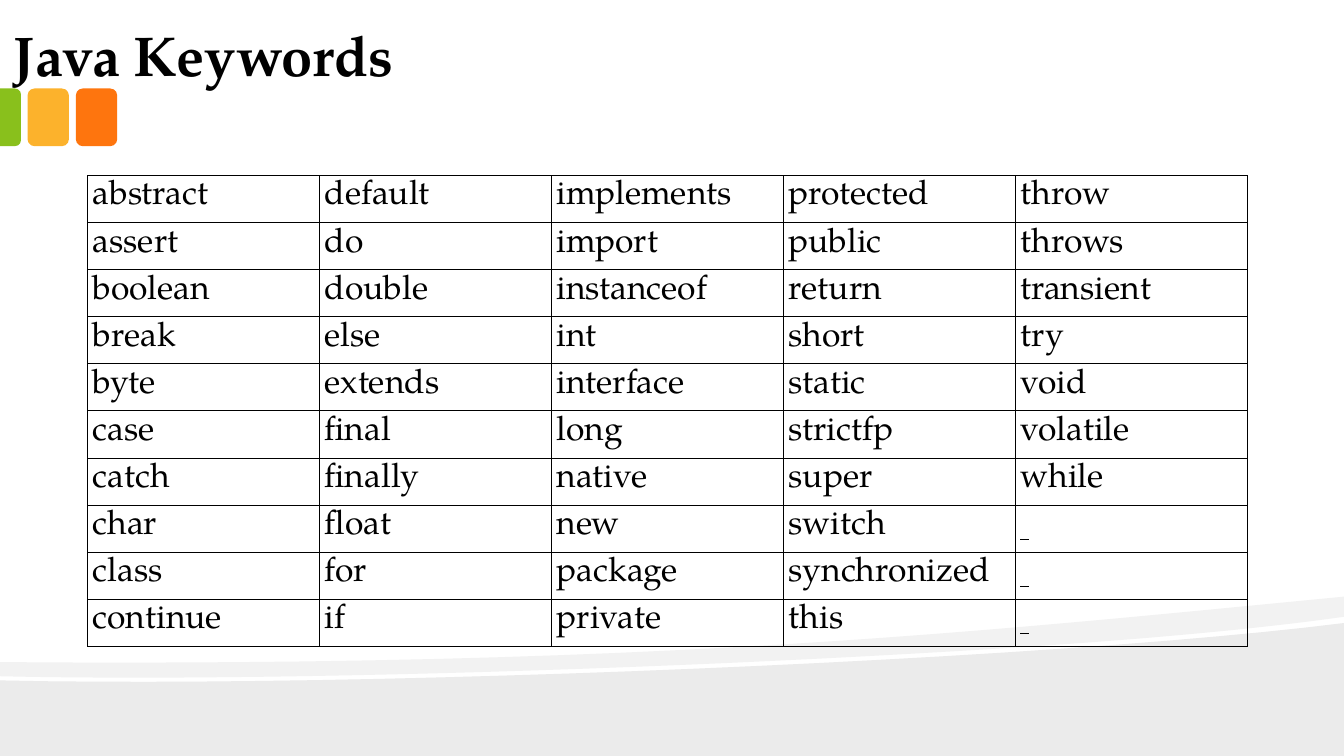
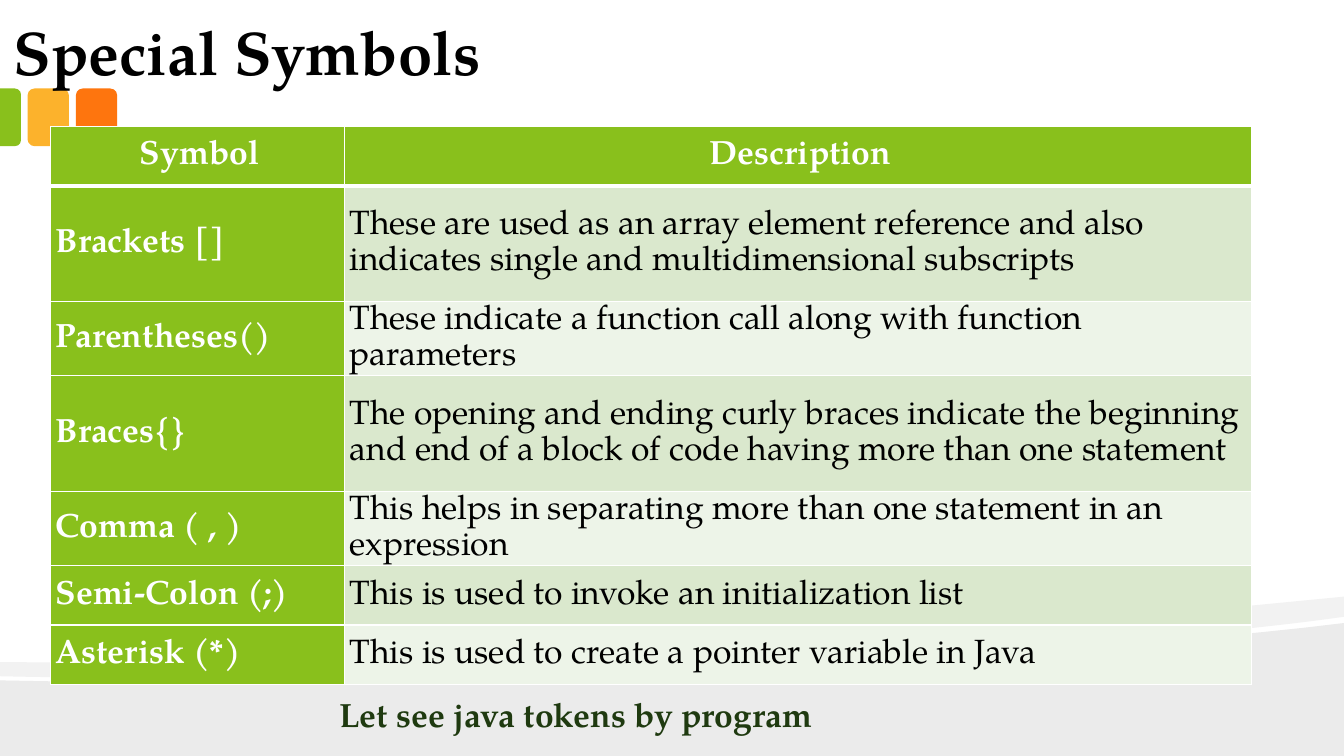
from pptx import Presentation
from pptx.dml.color import RGBColor
from pptx.enum.shapes import MSO_SHAPE
from pptx.enum.text import MSO_ANCHOR, MSO_AUTO_SIZE, PP_ALIGN
from pptx.oxml import parse_xml
from pptx.oxml.ns import nsdecls
from pptx.util import Pt

ROUND, TAB = MSO_SHAPE.ROUNDED_RECTANGLE, MSO_SHAPE.ROUND_2_SAME_RECTANGLE
TOP, MIDDLE, BOTTOM = MSO_ANCHOR.TOP, MSO_ANCHOR.MIDDLE, MSO_ANCHOR.BOTTOM
LEFT, CENTER = PP_ALIGN.LEFT, PP_ALIGN.CENTER
NO_FIT = MSO_AUTO_SIZE.NONE

FONT = "TeX Gyre Pagella"
HEX = {
    "black": "000000", "white": "FFFFFF", "green": "89C01C",
    "yellow": "FCB22C", "orange": "FE750E", "ground": "EBEBEB",
    "ribbon": "F2F2F2", "dark": "DAE8CD", "pale": "EDF4E8",
    "forest": "1F3A10",
}
WIDE, HIGH = 960, 540

# Two numbers are a line end, six are a cubic curve
WAVES = {
    "ground": [(960, 445), (960, 540), (0, 540), (0, 486),
               (253.4, 491.8, 750.2, 471.6, 960, 445)],
    "ribbon": [(960, 426.2), (960, 440.6),
               (903.6, 448.6, 827.3, 455.8, 740.9, 461.5),
               (502.6, 477.4, 185.8, 487.4, 0, 483.1), (0, 473),
               (469.4, 476.6, 699.1, 451.4, 960, 426.2)],
}
CHIP = {"left": 19.7, "top": 63.2, "wide": 29.5, "high": 41.2, "step": 34.5}
CHIPS = ["yellow", "orange"]
EDGE = 15

# A lone space is an unused slot, shown underlined
WORDS = [
    ["abstract", "default", "implements", "protected", "throw"],
    ["assert", "do", "import", "public", "throws"],
    ["boolean", "double", "instanceof", "return", "transient"],
    ["break", "else", "int", "short", "try"],
    ["byte", "extends", "interface", "static", "void"],
    ["case", "final", "long", "strictfp", "volatile"],
    ["catch", "finally", "native", "super", "while"],
    ["char", "float", "new", "switch", " "],
    ["class", "for", "package", "synchronized", " "],
    ["continue", "if", "private", "this", " "],
]
SIGNS = [
    ("Symbol", "Description"),
    ("Brackets []", "These are used as an array element reference and also "
     "indicates single and multidimensional subscripts"),
    ("Parentheses()",
     "These indicate a function call along with function parameters"),
    ("Braces{}", "The opening and ending curly braces indicate the beginning "
     "and end of a block of code having more than one statement"),
    ("Comma ( , )",
     "This helps in separating more than one statement in an expression"),
    ("Semi-Colon (;)", "This is used to invoke an initialization list"),
    ("Asterisk (*)", "This is used to create a pointer variable in Java"),
]
WORD_COLS, WORD_ROWS = [165.7] * 5, [33.64] * 10
SIGN_COLS = [210, 648]
SIGN_ROWS = [42.3, 82.6, 53.2, 82.6, 53.2, 42.3, 42.3]
CLOSING = "Let see java tokens by program"


def rgb(name):
    return RGBColor.from_string(HEX[name])


def style(item, form):
    for key, value in form.items():
        setattr(item, key, value)


def write(para, text, size, color, bold=False):
    run = para.add_run()
    run.text = text
    style(run.font, {"name": FONT, "size": Pt(size), "bold": bold})
    run.font.color.rgb = rgb(color)
    return run


def paint(shape, color):
    shape.shadow.inherit = False
    shape.fill.solid()
    shape.fill.fore_color.rgb = rgb(color)
    shape.line.fill.background()
    return shape


def trace(steps, parts=24):
    """Turn lines and cubic curves into a list of points."""
    dots = []
    for step in steps:
        if len(step) == 2:
            dots.append(step)
            continue
        x, y = dots[-1]
        a, b, c, d, e, f = step
        for n in range(1, parts + 1):
            t = n / parts
            u = 1 - t
            k = (u ** 3, 3 * u * u * t, 3 * u * t * t, t ** 3)
            dots.append(tuple(sum(p * q for p, q in zip(k, axis))
                              for axis in ((x, a, c, e), (y, b, d, f))))
    return [(Pt(x), Pt(y)) for x, y in dots]


def dress(layout, slide):
    """Draw the waves and chips, then hand them over to the layout."""
    parts = []
    for color, steps in WAVES.items():
        first, *rest = trace(steps)
        pen = slide.shapes.build_freeform(*first)
        pen.add_line_segments(rest, close=True)
        parts.append(paint(pen.convert_to_shape(), color))
    top, wide, high = CHIP["top"], CHIP["wide"], CHIP["high"]
    for n, color in enumerate(CHIPS):
        left = CHIP["left"] + n * CHIP["step"]
        chip = slide.shapes.add_shape(
            ROUND, Pt(left), Pt(top), Pt(wide), Pt(high))
        parts.append(paint(chip, color))
    tab = slide.shapes.add_shape(
        TAB, Pt((EDGE - high) / 2), Pt(top + (high - EDGE) / 2),
        Pt(high), Pt(EDGE))
    tab.rotation = 90
    tab.adjustments[0] = 0.29
    parts.append(paint(tab, "green"))
    for n, part in enumerate(parts, 20):
        part.element.nvSpPr.cNvPr.set("id", str(n))
        layout.shapes.element.append(part.element)


def head(slide, text, size):
    title = slide.shapes.title
    style(title, {"left": Pt(0), "top": Pt(0.7),
                  "width": Pt(738.7), "height": Pt(67)})
    style(title.text_frame, {
        "margin_left": Pt(9.6), "margin_right": Pt(9.6),
        "margin_top": Pt(4.8), "margin_bottom": Pt(4.8),
        "vertical_anchor": BOTTOM, "word_wrap": True, "auto_size": NO_FIT})
    para = title.text_frame.paragraphs[0]
    para.alignment = LEFT
    write(para, text, size, "black", True)


def border(cell, color, sides):
    props = cell._tc.get_or_add_tcPr()
    for side in "LRTB":
        props.append(parse_xml(
            f'<a:ln{side} {nsdecls("a")} w="{Pt(sides[side])}"><a:solidFill>'
            f'<a:srgbClr val="{HEX[color]}"/></a:solidFill></a:ln{side}>'))


def grid(slide, left, top, cols, rows):
    frame = slide.shapes.add_table(
        len(rows), len(cols), Pt(left), Pt(top), Pt(sum(cols)), Pt(sum(rows)))
    table = frame.table
    style(table, {"first_row": False, "horz_banding": False})
    for col, wide in zip(table.columns, cols):
        col.width = Pt(wide)
    for row, high in zip(table.rows, rows):
        row.height = Pt(high)
    return table


def pad(cell, left, rest, anchor):
    style(cell, {"margin_left": Pt(left), "margin_right": Pt(rest),
                 "margin_top": Pt(rest), "margin_bottom": Pt(rest),
                 "vertical_anchor": anchor})


def keywords(slide):
    head(slide, "Java Keywords", 40)
    table = grid(slide, 62.6, 125.4, WORD_COLS, WORD_ROWS)
    for r, row in enumerate(WORDS):
        for c, word in enumerate(row):
            cell = table.cell(r, c)
            pad(cell, 3.6, 3.6, TOP)
            border(cell, "black", dict.fromkeys("LRTB", 0.75))
            cell.fill.background()
            run = write(cell.text_frame.paragraphs[0], word, 24, "black")
            run.font.underline = word == " "


def symbols(slide):
    head(slide, "Special Symbols", 44)
    table = grid(slide, 36.2, 90.3, SIGN_COLS, SIGN_ROWS)
    for r, row in enumerate(SIGNS):
        for c, text in enumerate(row):
            cell = table.cell(r, c)
            strong = r == 0 or c == 0
            pad(cell, 3.6, 0.7, MIDDLE)
            border(cell, "white", {"L": 1, "R": 1, "T": 3 if r == 1 else 1,
                                   "B": 3 if r == 0 else 1})
            cell.fill.solid()
            band = "dark" if r % 2 else "pale"
            cell.fill.fore_color.rgb = rgb("green" if strong else band)
            para = cell.text_frame.paragraphs[0]
            style(para, {"alignment": LEFT if r else CENTER,
                         "line_spacing": 1.07})
            write(para, text, 24, "white" if strong else "black", strong)
    box = slide.shapes.add_textbox(Pt(235.4), Pt(491.8), Pt(488), Pt(36))
    box.text_frame.word_wrap = True
    write(box.text_frame.paragraphs[0], CLOSING, 24, "forest", True)


def main():
    deck = Presentation()
    style(deck, {"slide_width": Pt(WIDE), "slide_height": Pt(HIGH)})
    layout = deck.slide_layouts[5]
    first, second = (deck.slides.add_slide(layout) for _ in range(2))
    dress(layout, first)
    keywords(first)
    symbols(second)
    deck.save("out.pptx")


if __name__ == "__main__":
    main()
